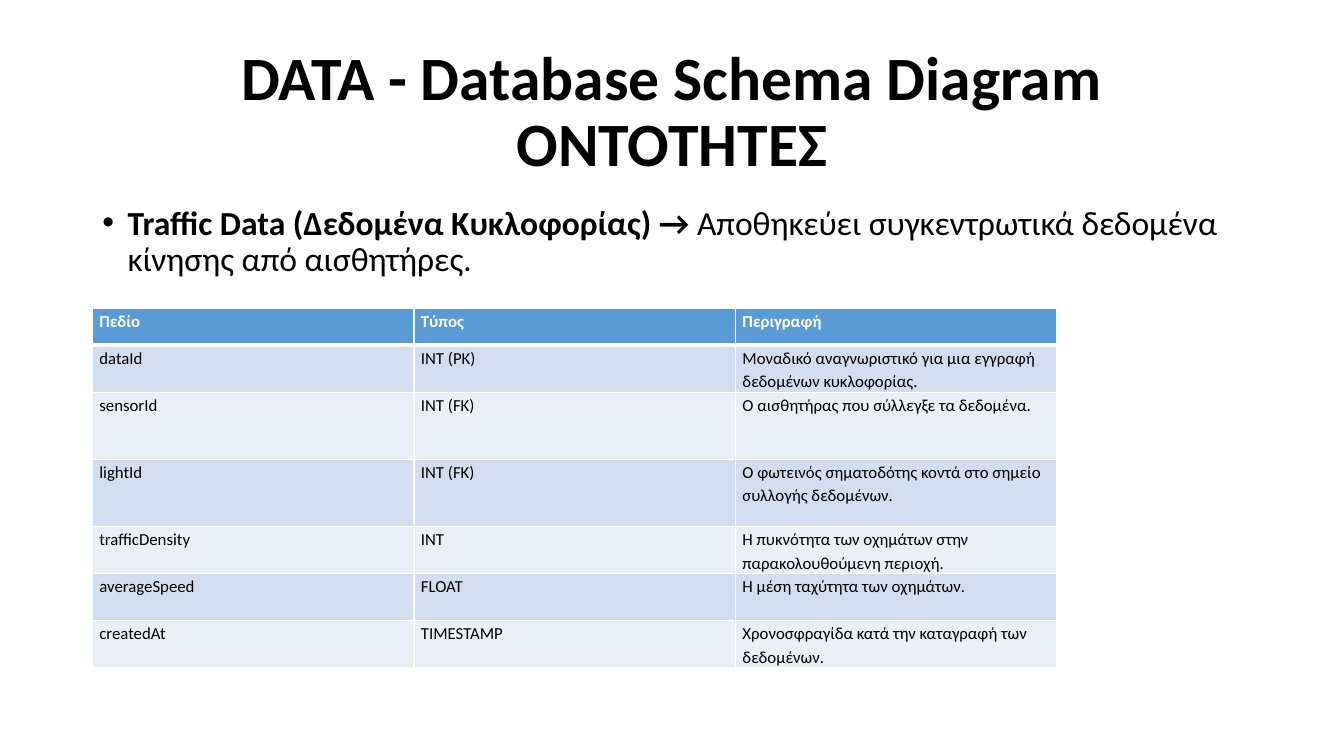
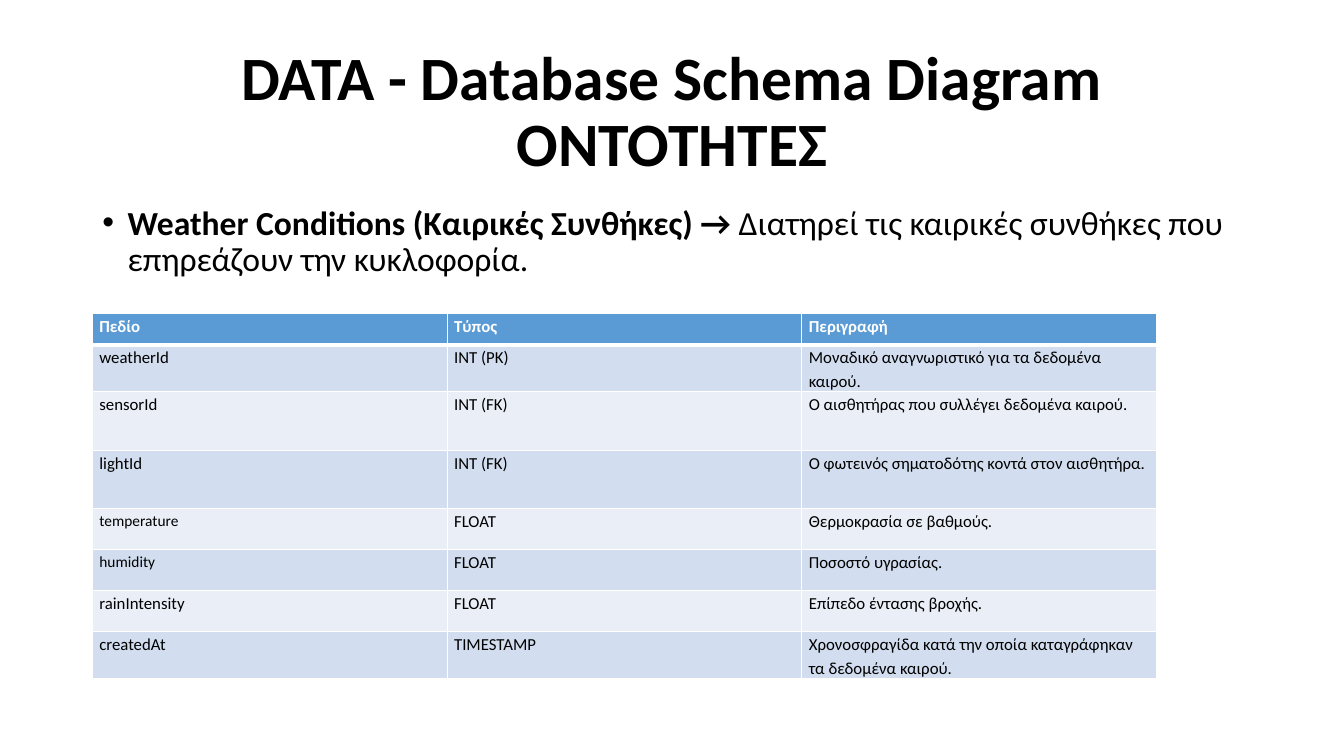
from lxml.etree import SubElement
from pptx import Presentation
from pptx.dml.color import RGBColor
from pptx.enum.text import MSO_ANCHOR, MSO_AUTO_SIZE, PP_ALIGN
from pptx.oxml.ns import qn
from pptx.util import Pt

COLORS = {
    "ink": "000000",
    "paper": "FFFFFF",
    "head": "5B9BD5",
    "odd": "D2DEEF",
    "even": "EAEFF7",
}
FONT = "Calibri"
LEFT, WIDTH = 66, 828
TITLE = "DATA - Database Schema Diagram\nΟΝΤΟΤΗΤΕΣ"
HEADER = ("Πεδίο", "Τύπος", "Περιγραφή")
SMALL = {"temperature", "humidity"}

SLIDES = [
    {
        "name": "Traffic Data (Δεδομένα Κυκλοφορίας) → ",
        "about": "Αποθηκεύει συγκεντρωτικά δεδομένα κίνησης από αισθητήρες.",
        "top": 220.3,
        "col": 229.7,
        "heights": [26.2, 33.5, 48, 48, 33.5, 33.5, 33.5],
        "rows": [
            ("dataId", "INT (PK)", "Μοναδικό αναγνωριστικό για μια εγγραφή δεδομένων κυκλοφορίας."),
            ("sensorId", "INT (FK)", "Ο αισθητήρας που σύλλεγξε τα δεδομένα."),
            ("lightId", "INT (FK)", "Ο φωτεινός σηματοδότης κοντά στο σημείο συλλογής δεδομένων."),
            ("trafficDensity", "INT", "Η πυκνότητα των οχημάτων στην παρακολουθούμενη περιοχή."),
            ("averageSpeed", "FLOAT", "Η μέση ταχύτητα των οχημάτων."),
            ("createdAt", "TIMESTAMP", "Χρονοσφραγίδα κατά την καταγραφή των δεδομένων."),
        ],
    },
    {
        "name": "Weather Conditions (Καιρικές Συνθήκες) → ",
        "about": "Διατηρεί τις καιρικές συνθήκες που επηρεάζουν την κυκλοφορία.",
        "top": 223.8,
        "col": 253.4,
        "heights": [22.5, 29.2, 41.8, 41.8, 29.2, 29.2, 29.2, 29.2],
        "rows": [
            ("weatherId", "INT (PK)", "Μοναδικό αναγνωριστικό για τα δεδομένα καιρού."),
            ("sensorId", "INT (FK)", "Ο αισθητήρας που συλλέγει δεδομένα καιρού."),
            ("lightId", "INT (FK)", "Ο φωτεινός σηματοδότης κοντά στον αισθητήρα."),
            ("temperature", "FLOAT", "Θερμοκρασία σε βαθμούς."),
            ("humidity", "FLOAT", "Ποσοστό υγρασίας."),
            ("rainIntensity", "FLOAT", "Επίπεδο έντασης βροχής."),
            ("createdAt", "TIMESTAMP", "Χρονοσφραγίδα κατά την οποία καταγράφηκαν τα δεδομένα καιρού."),
        ],
    },
]


def color(key):
    return RGBColor.from_string(COLORS[key])


def write(para, text, size=12, bold=False, ink="ink", align=PP_ALIGN.LEFT, space=1.15, before=0):
    para.alignment = align
    para.line_spacing = space
    para.space_before = Pt(before)
    for i, line in enumerate(text.split("\n")):
        if i:
            para.add_line_break()
        run = para.add_run()
        run.text = line
        run.font.name = FONT
        run.font.size = Pt(size)
        run.font.bold = bold
        run.font.color.rgb = color(ink)


def place(holder, top, height, anchor):
    holder.left, holder.top = Pt(LEFT), Pt(top)
    holder.width, holder.height = Pt(WIDTH), Pt(height)
    frame = holder.text_frame
    frame.word_wrap = True
    frame.auto_size = MSO_AUTO_SIZE.NONE
    frame.vertical_anchor = anchor
    return frame.paragraphs[0]


def bullet(para):
    props = para._p.get_or_add_pPr()
    props.set("marL", str(Pt(18)))
    props.set("indent", str(Pt(-18)))
    SubElement(props, qn("a:buFont"), typeface="Arial")
    SubElement(props, qn("a:buChar"), char="•")


def border(cell, top, bottom):
    props = cell._tc.get_or_add_tcPr()
    for side, width in (("L", 1), ("R", 1), ("T", top), ("B", bottom)):
        line = SubElement(props, qn(f"a:ln{side}"), w=str(Pt(width)))
        fill = SubElement(line, qn("a:solidFill"))
        SubElement(fill, qn("a:srgbClr"), val=COLORS["paper"])


def style(cell, row):
    cell.margin_left = cell.margin_right = Pt(5)
    cell.margin_top = cell.margin_bottom = 0
    border(cell, 3 if row == 1 else 1, 3 if row == 0 else 1)
    cell.fill.solid()
    cell.fill.fore_color.rgb = color("head" if row == 0 else "odd" if row % 2 else "even")


def grid(slide, data):
    rows = [HEADER] + data["rows"]
    count = len(HEADER)
    table = slide.shapes.add_table(
        len(rows), count, Pt(LEFT), Pt(data["top"]),
        Pt(data["col"] * count), Pt(sum(data["heights"])),
    ).table
    for col in table.columns:
        col.width = Pt(data["col"])
    for r, (values, height) in enumerate(zip(rows, data["heights"])):
        table.rows[r].height = Pt(height)
        for c, value in enumerate(values):
            cell = table.cell(r, c)
            style(cell, r)
            write(cell.text_frame.paragraphs[0], value, size=11 if value in SMALL else 12,
                  bold=r == 0, ink="ink" if r else "paper")


def build(deck, data):
    slide = deck.slides.add_slide(deck.slide_layouts[1])
    title = place(slide.shapes.title, 28.75, 104.4, MSO_ANCHOR.MIDDLE)
    write(title, TITLE, size=44, bold=True, align=PP_ALIGN.CENTER, space=0.9)
    body = place(slide.placeholders[1], 143.75, 342.6, MSO_ANCHOR.TOP)
    for text, bold in ((data["name"], True), (data["about"], False)):
        write(body, text, size=24, bold=bold, space=0.9, before=10)
    bullet(body)
    grid(slide, data)


def main():
    deck = Presentation()
    deck.slide_width, deck.slide_height = Pt(960), Pt(540)
    for data in SLIDES:
        build(deck, data)
    deck.save("out.pptx")


if __name__ == "__main__":
    main()
